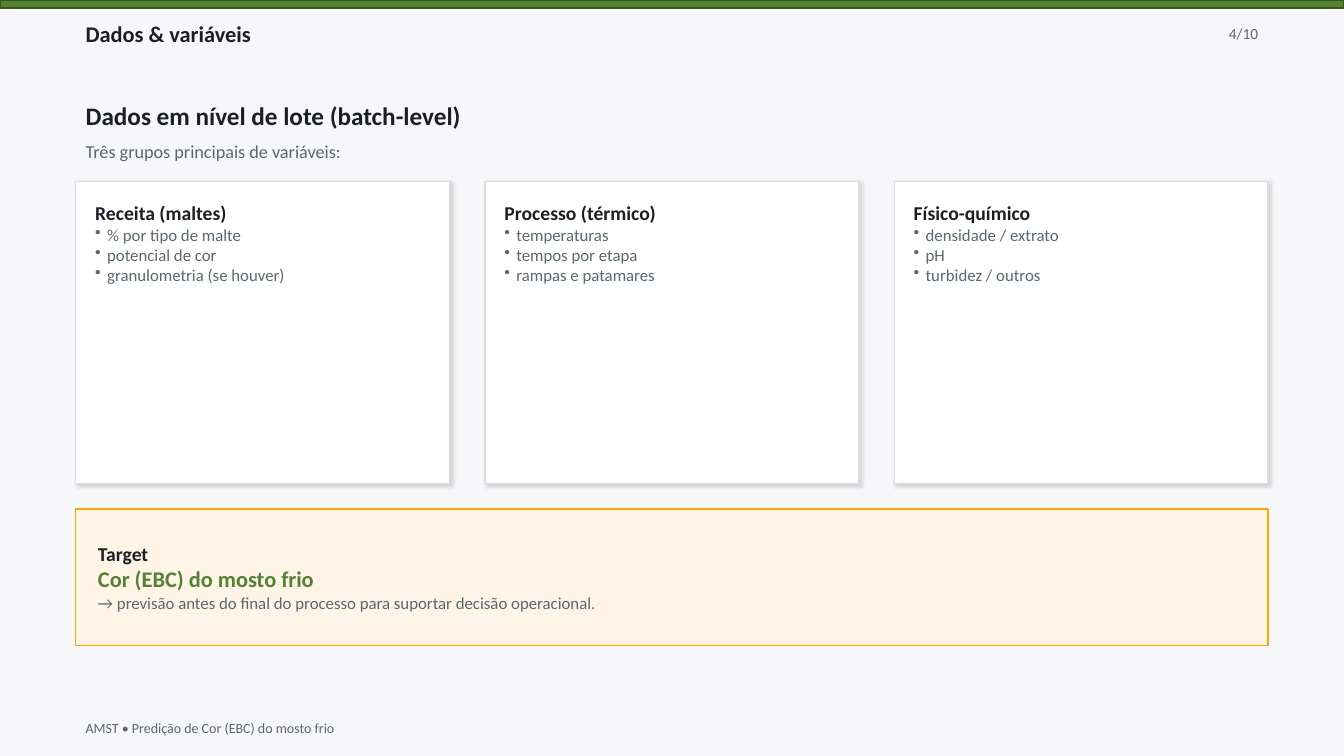
import pptx
import pptx.dml.color
import pptx.enum.shapes
import pptx.enum.text
import pptx.oxml
import pptx.oxml.ns
import pptx.util
from lxml import etree

Cm = pptx.util.Cm
ALIGN = pptx.enum.text.PP_ALIGN
ANCHOR = pptx.enum.text.MSO_ANCHOR

WIDTH, HEIGHT = 33.87, 19.05
MARGIN = 1.91
CONTENT_W = WIDTH - 2 * MARGIN
CARD_GAP = 0.89
BULLET_INDENT = 0.3

GREEN, INK, GREY = "548235", "1B1F23", "5B6770"
HEADING = dict(size=14, bold=True, color=INK)
BODY = dict(size=12, bold=False, color=GREY)

CARDS = [
    ("Receita (maltes)",
     ["% por tipo de malte", "potencial de cor", "granulometria (se houver)"]),
    ("Processo (térmico)",
     ["temperaturas", "tempos por etapa", "rampas e patamares"]),
    ("Físico-químico",
     ["densidade / extrato", "pH", "turbidez / outros"]),
]


def rgb(color):
    return pptx.dml.color.RGBColor.from_string(color)


def write(p, text, size, color, bold=False, align=ALIGN.LEFT):
    p.alignment = align
    r = p.add_run()
    r.text = text
    for name, value in dict(name="Calibri", size=pptx.util.Pt(size), bold=bold).items():
        setattr(r.font, name, value)
    r.font.color.rgb = rgb(color)


def set_frame(tf, anchor, inset=None):
    tf.word_wrap = True
    tf.vertical_anchor = anchor
    if inset is not None:
        for side in ("left", "top", "right", "bottom"):
            setattr(tf, f"margin_{side}", Cm(inset))


def add_label(s, box, text, **style):
    tf = s.shapes.add_textbox(*map(Cm, box)).text_frame
    set_frame(tf, ANCHOR.MIDDLE)
    write(tf.paragraphs[0], text, **style)


def add_panel(s, box, fill, line):
    sp = s.shapes.add_shape(pptx.enum.shapes.MSO_SHAPE.RECTANGLE, *map(Cm, box))
    sp.shadow.inherit = False
    sp.fill.solid()
    sp.fill.fore_color.rgb = rgb(fill)
    sp.line.color.rgb = rgb(line)
    sp.line.width = pptx.util.Pt(1)
    return sp


def add_soft_shadow(sp):
    effects = sp.element.spPr.find(pptx.oxml.ns.qn("a:effectLst"))
    effects.append(pptx.oxml.parse_xml(
        f'<a:outerShdw {pptx.oxml.ns.nsdecls("a")} blurRad="38100" dist="19050" '
        'dir="2700000" algn="tl" rotWithShape="0">'
        '<a:srgbClr val="000000"><a:alpha val="14000"/></a:srgbClr></a:outerShdw>'))


def add_bullet(p):
    pPr = p._p.get_or_add_pPr()
    pPr.set("marL", str(Cm(BULLET_INDENT)))
    pPr.set("indent", str(-Cm(BULLET_INDENT)))
    etree.SubElement(pPr, pptx.oxml.ns.qn("a:buChar")).set("char", "•")


def add_header(s, box):
    x, y, w, h = box
    add_panel(s, (0, 0, WIDTH, 0.2), GREEN, "385723")
    add_label(s, (x, y, w - 3.05, h), "Dados & variáveis", size=16, color=INK, bold=True)
    add_label(s, (x + w - 2.8, y + 0.05, 2.8, 0.76), "4/10",
              size=11, color=GREY, align=ALIGN.RIGHT)


def add_intro(s, box):
    x, y, w, h = box
    title_h = 1.02
    add_label(s, (x, y, w, title_h), "Dados em nível de lote (batch-level)",
              size=18, color=INK, bold=True)
    add_label(s, (x, y + title_h, w, h - title_h),
              "Três grupos principais de variáveis:", size=13, color=GREY)


def add_card(s, box, title, items):
    sp = add_panel(s, box, "FFFFFF", "D9DDE3")
    add_soft_shadow(sp)
    tf = sp.text_frame
    set_frame(tf, ANCHOR.TOP, 0.49)
    write(tf.paragraphs[0], title, **HEADING)
    for item in items:
        p = tf.add_paragraph()
        write(p, item, **BODY)
        add_bullet(p)


def add_card_row(s, box):
    x, y, w, h = box
    card_w = (w - CARD_GAP * (len(CARDS) - 1)) / len(CARDS)
    for i, (title, items) in enumerate(CARDS):
        add_card(s, (x + i * (card_w + CARD_GAP), y, card_w, h), title, items)


def add_target(s, box):
    tf = add_panel(s, box, "FFF4E6", "F2A900").text_frame
    set_frame(tf, ANCHOR.MIDDLE, 0.56)
    write(tf.paragraphs[0], "Target", **HEADING)
    write(tf.add_paragraph(), "Cor (EBC) do mosto frio", size=16, color=GREEN, bold=True)
    write(tf.add_paragraph(),
          "→ previsão antes do final do processo para suportar decisão operacional.", **BODY)


def main():
    prs = pptx.Presentation()
    prs.slide_width, prs.slide_height = Cm(WIDTH), Cm(HEIGHT)
    s = prs.slides.add_slide(prs.slide_layouts[6])
    s.background.fill.solid()
    s.background.fill.fore_color.rgb = rgb("F7F7F9")

    add_header(s, (MARGIN, 0.41, CONTENT_W, 0.89))
    add_intro(s, (MARGIN, 2.41, CONTENT_W, 1.78))
    add_card_row(s, (MARGIN, 4.57, CONTENT_W, 7.62))
    add_target(s, (MARGIN, 12.83, CONTENT_W, 3.43))
    add_label(s, (MARGIN, 18.03, CONTENT_W, 0.64),
              "AMST • Predição de Cor (EBC) do mosto frio", size=10, color=GREY)
    prs.save("out.pptx")


if __name__ == "__main__":
    main()
